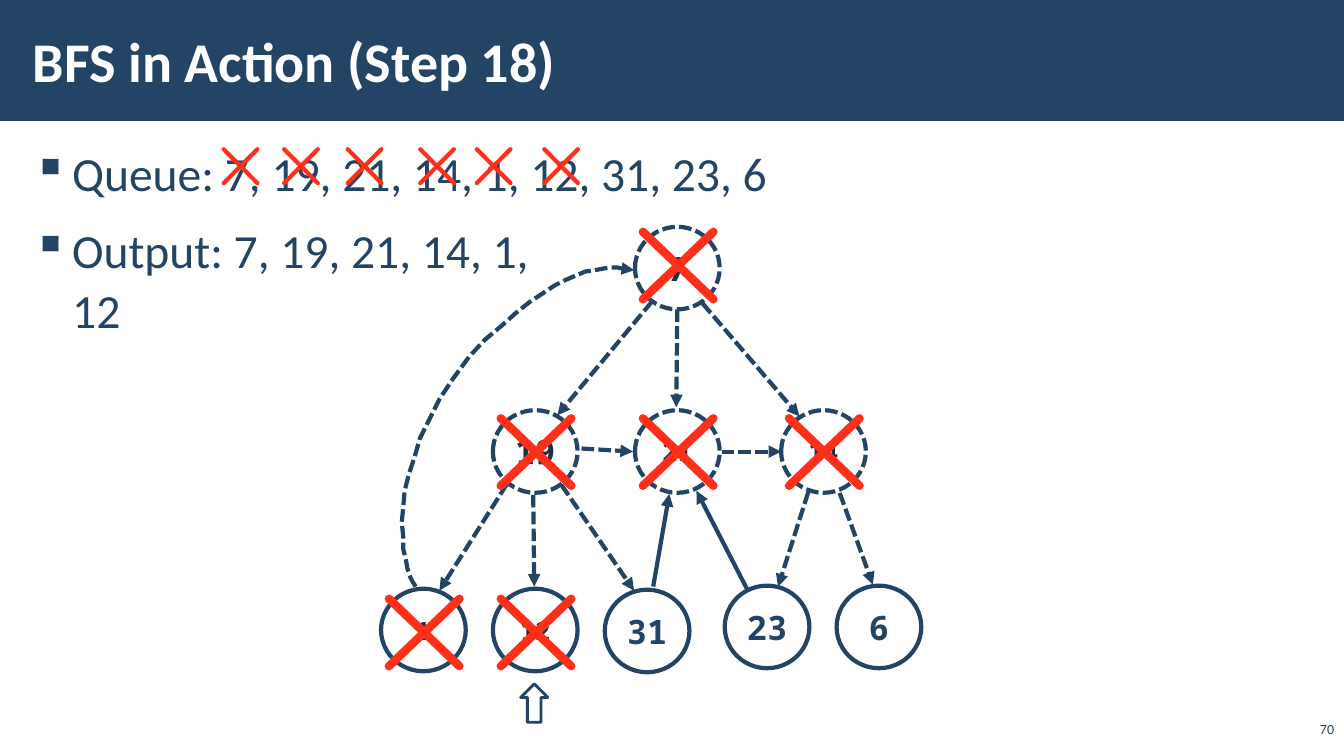
from dataclasses import dataclass

from lxml import etree
from pptx import Presentation
from pptx.dml.color import RGBColor
from pptx.enum.dml import MSO_LINE
from pptx.enum.shapes import MSO_CONNECTOR, MSO_SHAPE
from pptx.enum.text import MSO_ANCHOR, PP_ALIGN
from pptx.oxml.ns import qn
from pptx.util import Pt

RECT, OVAL, ARROW = MSO_SHAPE.RECTANGLE, MSO_SHAPE.OVAL, MSO_SHAPE.RIGHT_ARROW
STRAIGHT, DASH = MSO_CONNECTOR.STRAIGHT, MSO_LINE.SQUARE_DOT
TOP, MIDDLE, BOTTOM = MSO_ANCHOR.TOP, MSO_ANCHOR.MIDDLE, MSO_ANCHOR.BOTTOM
LEFT, CENTER, RIGHT = PP_ALIGN.LEFT, PP_ALIGN.CENTER, PP_ALIGN.RIGHT


@dataclass(frozen=True)
class Theme:
    navy: str = "234465"
    ink: str = "1A334C"
    red: str = "FF2F19"
    white: str = "FFFFFF"
    sans: str = "Calibri"
    mono: str = "Noto Sans Mono"
    title: float = 40
    body: float = 34
    node: float = 24
    small: float = 18
    page: float = 10


def write(frame, text, font, size, color, bold=False, align=LEFT,
          anchor=TOP, wrap=True, inset=None, bullet=None):
    frame.word_wrap = wrap
    frame.vertical_anchor = anchor
    if inset:
        frame.margin_left = frame.margin_right = Pt(inset[0])
        frame.margin_top = frame.margin_bottom = Pt(inset[1])
    for i, line in enumerate(text.split("\n")):
        para = frame.paragraphs[0] if i == 0 else frame.add_paragraph()
        para.text = line
        para.alignment = align
        if bullet:
            para.line_spacing = 1.05
            para.space_before = Pt(6 if i else 0)
            para.space_after = Pt(6)
            props = para._p.get_or_add_pPr()
            props.set("marL", str(Pt(28)))
            props.set("indent", str(-Pt(28)))
            etree.SubElement(props, qn("a:buChar"), char=bullet)
        for run in para.runs:
            run.font.name = font
            run.font.size = Pt(size)
            run.font.bold = bold
            run.font.color.rgb = RGBColor.from_string(color)


class Board:
    def __init__(self, slide, theme):
        self.shapes = slide.shapes
        self.theme = theme

    def label(self, box, text, **style):
        area = self.shapes.add_textbox(*map(Pt, box))
        write(area.text_frame, text, **style)

    def stroke(self, item, color, width, dash=False, head=False, cap="flat"):
        item.line.color.rgb = RGBColor.from_string(color)
        item.line.width = Pt(width)
        if dash:
            item.line.dash_style = DASH
        outline = item.line._get_or_add_ln()
        outline.set("cap", cap)
        if head:
            etree.SubElement(outline, qn("a:tailEnd"), type="triangle")

    def shape(self, kind, box, fill, alpha=100, width=0, dash=False):
        item = self.shapes.add_shape(kind, *map(Pt, box))
        item.shadow.inherit = False
        item.fill.solid()
        item.fill.fore_color.rgb = RGBColor.from_string(fill)
        if alpha < 100:
            tint = item.element.spPr.find(".//" + qn("a:srgbClr"))
            etree.SubElement(tint, qn("a:alpha"), val=str(alpha * 1000))
        if width:
            self.stroke(item, self.theme.navy, width, dash)
        else:
            item.line.fill.background()
        return item

    def line(self, ends, color, width, **style):
        item = self.shapes.add_connector(STRAIGHT, *map(Pt, ends))
        self.stroke(item, color, width, **style)
        etree.SubElement(item.element.spPr, qn("a:effectLst"))

    def edge(self, ends, dash=True):
        self.line(ends, self.theme.navy, 3, dash=dash, head=True)

    def cross(self, left, top, wide, high, width):
        right, base = left + wide, top + high
        for ends in ((left, top, right, base), (right, top, left, base)):
            self.line(ends, self.theme.red, width, cap="rnd")

    def node(self, left, top, text, size, done, dash):
        box = (left, top, 60.5, 59)
        item = self.shape(OVAL, box, self.theme.white, 70 if done else 50,
                          3, dash)
        write(item.text_frame, text, self.theme.mono, size,
              self.theme.ink if done else self.theme.navy, bold=True,
              align=CENTER, anchor=MIDDLE, wrap=False)

    def curve(self, start, parts, steps=16):
        spots, here = [start], start
        for one, two, end in parts:
            for k in range(1, steps + 1):
                t = k / steps
                u = 1 - t
                spots.append(tuple(
                    u**3 * a + 3 * u * u * t * b + 3 * u * t * t * c + t**3 * d
                    for a, b, c, d in zip(here, one, two, end)))
            here = end
        pen = self.shapes.build_freeform(*start, scale=Pt(1))
        pen.add_line_segments(spots[1:], close=False)
        item = pen.convert_to_shape()
        item.shadow.inherit = False
        item.fill.background()
        self.stroke(item, self.theme.navy, 3, dash=True, head=True)


def main():
    theme = Theme()
    deck = Presentation()
    deck.slide_width, deck.slide_height = Pt(960), Pt(540)
    board = Board(deck.slides.add_slide(deck.slide_layouts[6]), theme)

    board.shape(RECT, (0, 0, 960, 86.4), theme.navy)
    board.label((15, 98, 930, 432),
                "Queue: 7, 19, 21, 14, 1, 12, 31, 23, 6\n"
                "Output: 7, 19, 21, 14, 1,\v12",
                font=theme.sans, size=theme.body, color=theme.navy,
                inset=(8.6, 2.9), bullet="▪")
    board.label((15, 8, 765, 70), "BFS in Action (Step 18)",
                font=theme.sans, size=theme.title, color=theme.white,
                bold=True, anchor=MIDDLE, inset=(8.6, 2.9))
    board.label((926, 514, 34, 16), "70", font=theme.sans, size=theme.page,
                color=theme.navy, align=RIGHT, anchor=BOTTOM)

    for left in (159.8, 203, 248.4, 300.2, 340.6, 388.8):
        board.cross(left, 106.6, 24, 24.2, 3)
    mark = board.shape(ARROW, (367.9, 492.5, 27.4, 19.4), theme.white, 50, 2)
    mark.rotation = 270

    seen = (
        (453.6, 162, "7", theme.node, True, 3.6),
        (352.1, 293, "19", theme.node, True, 5.8),
        (453.6, 293, "21", theme.small, True, 5.8),
        (558, 293, "14", theme.small, True, 5.8),
        (272.2, 420.5, "1", theme.small, False, 7.2),
        (352.1, 420.5, "12", theme.small, False, 7.2),
    )
    for left, top, text, size, dash, drop in seen:
        board.node(left, top, text, size, True, dash)
    for left, top, text in ((432, 421.2, "31"), (517.7, 418.3, "23"),
                            (597.6, 418.3, "6")):
        board.node(left, top, text, theme.node, False, False)

    for ends in (
        (465.8, 215.3, 398.2, 296.6), (483.8, 221, 483.1, 290.9),
        (501.8, 216.7, 571, 297.4), (362.2, 345.6, 313.9, 421.9),
        (380.9, 353.5, 381.6, 419), (401, 346.3, 452.9, 421.9),
        (577.4, 351.4, 555.8, 419), (599.8, 352.1, 623.5, 417.6),
        (415.4, 320.4, 452.2, 322.6), (515.5, 322.6, 558, 322.6),
    ):
        board.edge(ends)
    for ends in ((466.6, 419, 478.1, 352.8), (533.5, 420.5, 497.5, 350.6)):
        board.edge(ends, dash=False)
    board.curve((297.4, 419), (
        ((286.6, 406.8), (270.7, 336.2), (334.8, 254.9)),
        ((398.9, 187.2), (434.9, 188.6), (452.9, 193)),
    ))
    for left, top, text, size, dash, drop in seen:
        board.cross(left + 5.6, top + drop, 50.4, 48.2, 6)

    deck.save("out.pptx")


if __name__ == "__main__":
    main()
